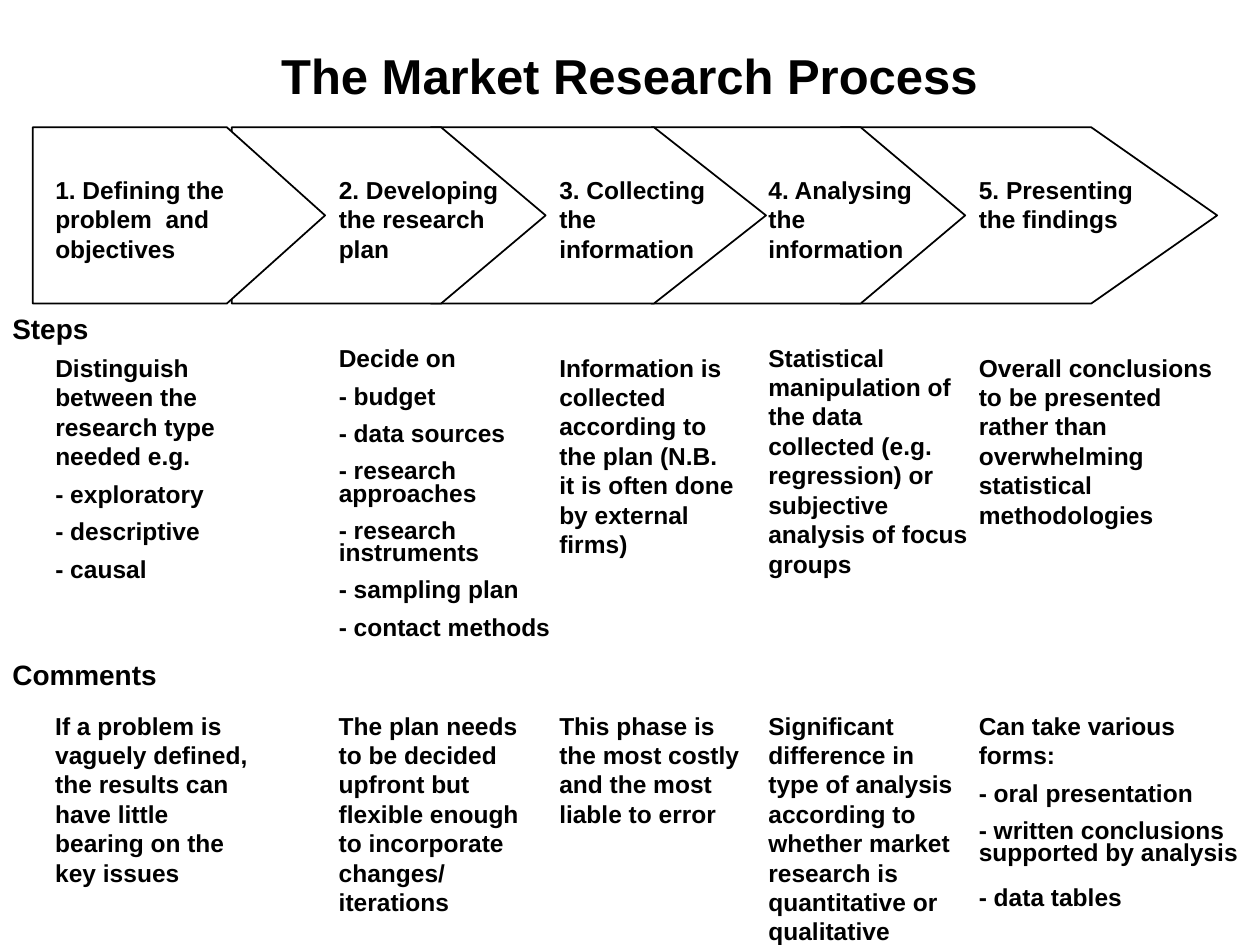
import dataclasses

import pptx
import pptx.dml.color
import pptx.enum.text
import pptx.util

Inches = pptx.util.Inches
Pt = pptx.util.Pt


@dataclasses.dataclass(frozen=True)
class Theme:
    """Colours, font, type sizes and line spacing of the slide."""

    ink: pptx.dml.color.RGBColor = pptx.dml.color.RGBColor(0, 0, 0)
    paper: pptx.dml.color.RGBColor = pptx.dml.color.RGBColor(255, 255, 255)
    font: str = "Arial"
    title: int = 28
    heading: int = 16
    body: int = 14
    title_spacing: float = 0.9
    item_spacing: float = 0.75
    outline: float = 1


class ProcessSlide:
    """Draws the elements of one slide in one style."""

    def __init__(self, slide, theme):
        """Keep the slide and its theme."""
        self.slide = slide
        self.theme = theme

    def add_run(self, paragraph, wording, size):
        """Add a bold run to a paragraph."""
        run = paragraph.add_run()
        run.text = wording
        run.font.name = self.theme.font
        run.font.size = Pt(size)
        run.font.bold = True
        run.font.color.rgb = self.theme.ink

    def title(self, wording, left, top, width, height):
        """Place and fill the title placeholder."""
        heading = self.slide.shapes.title
        heading.left, heading.top = Inches(left), Inches(top)
        heading.width, heading.height = Inches(width), Inches(height)
        heading.text_frame.vertical_anchor = pptx.enum.text.MSO_ANCHOR.MIDDLE
        paragraph = heading.text_frame.paragraphs[0]
        paragraph.alignment = pptx.enum.text.PP_ALIGN.CENTER
        paragraph.line_spacing = self.theme.title_spacing
        self.add_run(paragraph, wording, self.theme.title)

    def arrow(self, left, shoulder, tip, top, height):
        """Draw a pentagon that points right."""
        bottom, middle = top + height, top + height / 2
        outline = self.slide.shapes.build_freeform(Inches(left), Inches(top))
        corners = [(shoulder, top), (tip, middle), (shoulder, bottom), (left, bottom)]
        outline.add_line_segments([(Inches(x), Inches(y)) for x, y in corners])
        pentagon = outline.convert_to_shape()
        pentagon.shadow.inherit = False
        pentagon.fill.solid()
        pentagon.fill.fore_color.rgb = self.theme.paper
        pentagon.line.color.rgb = self.theme.ink
        pentagon.line.width = Pt(self.theme.outline)

    def text(self, paragraphs, left, top, width, height, size, loose=()):
        """Add a text box; dashed items are set tight unless listed as loose."""
        box = self.slide.shapes.add_textbox(
            Inches(left), Inches(top), Inches(width), Inches(height))
        frame = box.text_frame
        frame.word_wrap = True
        frame.auto_size = pptx.enum.text.MSO_AUTO_SIZE.SHAPE_TO_FIT_TEXT
        for index, wording in enumerate(paragraphs):
            paragraph = frame.add_paragraph() if index else frame.paragraphs[0]
            paragraph.space_before = Pt(round(size * 0.625, 1))
            if wording.startswith("- ") and wording not in loose:
                paragraph.line_spacing = self.theme.item_spacing
            self.add_run(paragraph, wording, size)


ARROWS = [
    (6.67, 8.66, 9.66),
    (5.17, 6.83, 7.66),
    (3.42, 5.19, 6.08),
    (1.84, 3.5, 4.33),
    (0.26, 1.8, 2.58),
]
COLUMNS = [0.34, 2.59, 4.34, 6, 7.67]
PHASES = [
    ("1. Defining the problem  and objectives", 2.09, 0.8),
    ("2. Developing the research plan", 1.51, 0.8),
    ("3. Collecting the information", 1.59, 0.8),
    ("4. Analysing the information", 1.59, 0.8),
    ("5. Presenting the findings", 1.68, 0.56),
]
STEPS = [
    (["Distinguish between the research type needed e.g.", "- exploratory",
      "- descriptive", "- causal"], 2.75, 2.09, 1.69),
    (["Decide on", "- budget", "- data sources", "- research approaches",
      "- research instruments", "- sampling plan", "- contact methods"],
     2.67, 2.01, 2.46),
    (["Information is collected according to the plan (N.B. it is often done "
      "by external firms)"], 2.75, 1.59, 1.73),
    (["Statistical manipulation of the data collected (e.g. regression) or "
      "subjective analysis of focus groups"], 2.67, 1.84, 1.96),
    (["Overall conclusions to be presented rather than overwhelming "
      "statistical methodologies"], 2.75, 2.09, 1.5),
]
COMMENTS = [
    (["If a problem is vaguely defined, the results can  have little bearing "
      "on the key issues"], 1.76, 1.5),
    (["The plan needs to be decided upfront but flexible enough to "
      "incorporate changes/ iterations"], 1.76, 1.73),
    (["This phase is the most costly and the most liable to error"], 1.68, 1.03),
    (["Significant difference in type of analysis according to whether market "
      "research is quantitative or qualitative"], 1.68, 1.96),
    (["Can take various forms:", "- oral presentation",
      "- written conclusions supported by analysis", "- data tables"], 2.26, 1.69),
]


def main():
    """Build and save the slide."""
    deck = pptx.Presentation()
    deck.slide_width, deck.slide_height = Inches(10), Inches(7.5)
    theme = Theme()
    process = ProcessSlide(deck.slides.add_slide(deck.slide_layouts[5]), theme)

    process.title("The Market Research Process", 1.08, 0, 7.83, 1.25)
    for left, shoulder, tip in ARROWS:
        process.arrow(left, shoulder, tip, 1.01, 1.4)
    for left, (phase, width, height) in zip(COLUMNS, PHASES):
        process.text([phase], left, 1.34, width, height, theme.body)
    process.text(["Steps"], 0, 2.42, 0.84, 0.36, theme.heading)
    process.text(["Comments"], 0, 5.17, 1.51, 0.36, theme.heading)
    for left, (step, top, width, height) in zip(COLUMNS, STEPS):
        process.text(step, left, top, width, height, theme.body)
    for left, (comment, width, height) in zip(COLUMNS, COMMENTS):
        process.text(comment, left, 5.59, width, height, theme.body,
                     loose=("- data tables",))
    deck.save("out.pptx")


if __name__ == "__main__":
    main()
